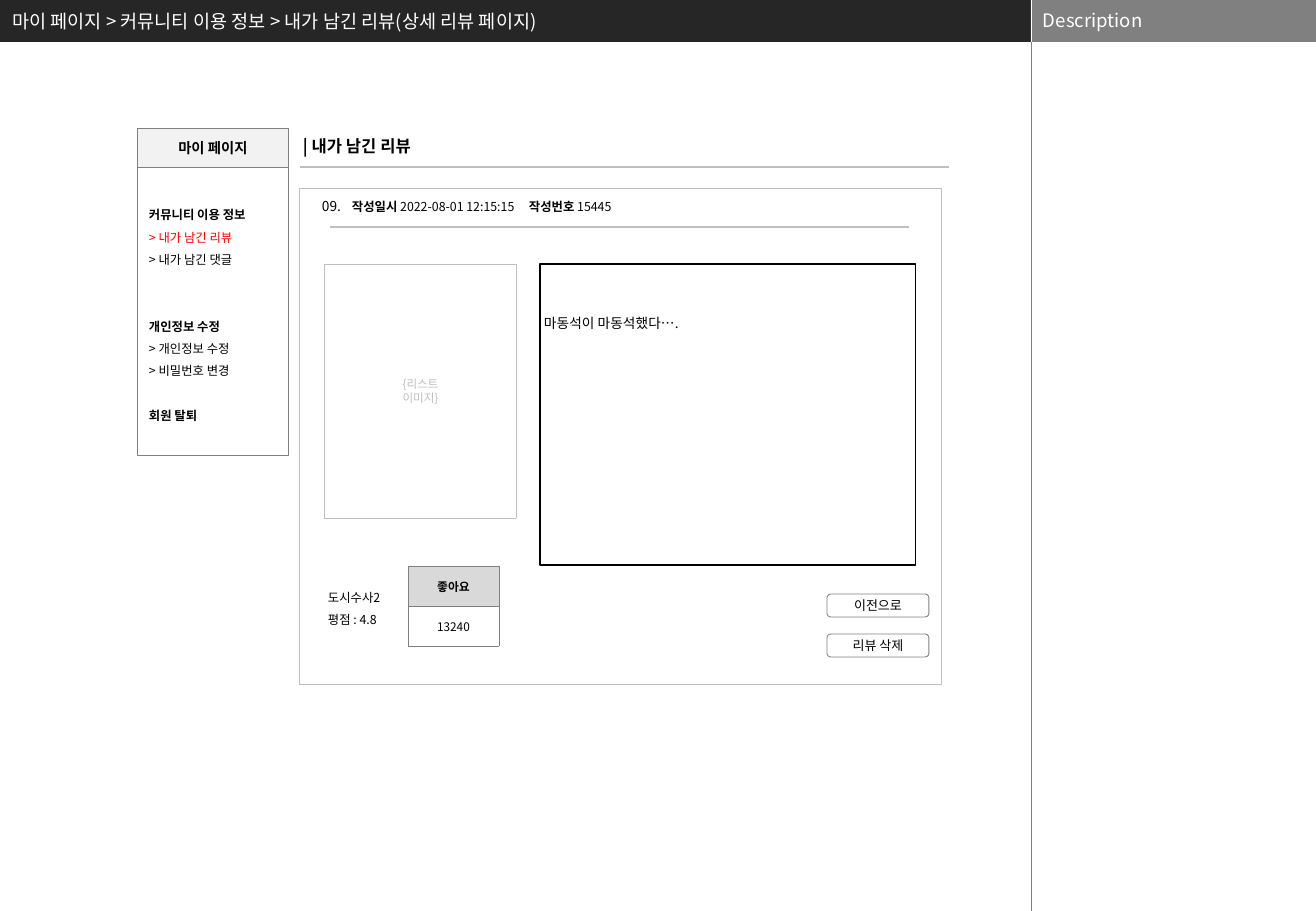
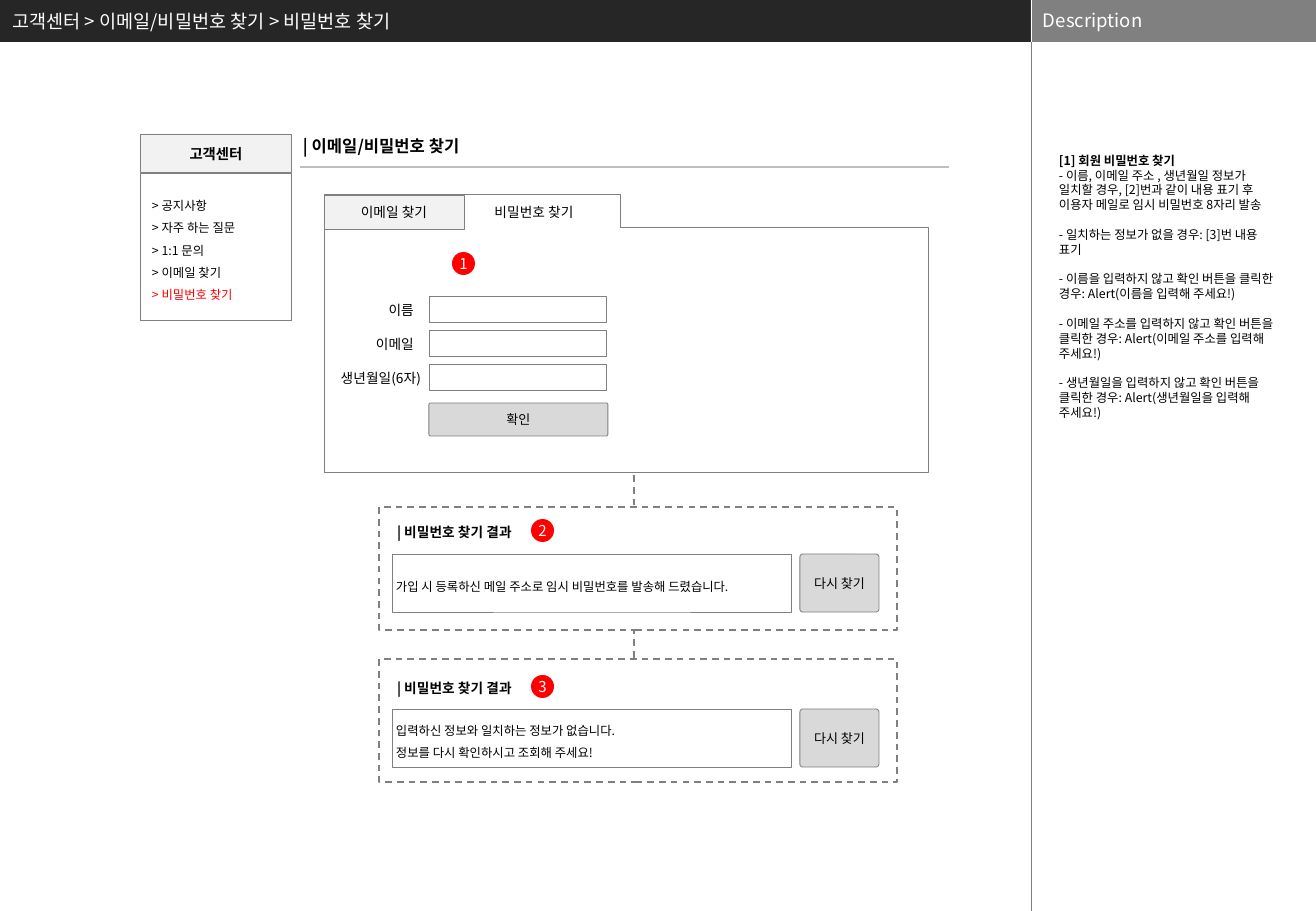
from dataclasses import dataclass

from lxml import etree
from pptx import Presentation
from pptx.dml.color import RGBColor
from pptx.enum.dml import MSO_LINE
from pptx.enum.shapes import MSO_CONNECTOR, MSO_SHAPE as SHAPE
from pptx.enum.text import MSO_ANCHOR as ANCHOR, MSO_AUTO_SIZE, PP_ALIGN as ALIGN
from pptx.oxml.ns import qn
from pptx.util import Pt

PX = 7526  # EMU per px
SLIDE_W, SLIDE_H = 1316, 911
MAIN_W, BAND_H = 1031, 42
FONT = "Noto Sans CJK KR"
COLORS = {
    "ink": "000000", "white": "FFFFFF", "band": "262626", "gray": "808080",
    "light": "BFBFBF", "button": "D9D9D9", "tab": "F2F2F2", "red": "FF0000",
}
SMALL, BUTTON, BODY, HEAD = 7.3, 7.7, 8.1, 9.8
MENU_GAP, NOTE_GAP = 13.2, 8.8  # height of one skipped line, in points
PADDING = (12, 6, 12, 6)


@dataclass
class Line:
    text: str
    bold: bool = False
    color: str = "ink"
    before: float = 0


def px(*lengths):
    return [round(length * PX) for length in lengths]


def rgb(name):
    return RGBColor.from_string(COLORS[name])


# Text
def add_run(paragraph, text, size, bold=False, color="ink"):
    run = paragraph.add_run()
    run.text = text
    for key, value in {"name": FONT, "size": Pt(size), "bold": bold}.items():
        setattr(run.font, key, value)
    run.font.color.rgb = rgb(color)
    etree.SubElement(run.font._element, qn("a:ea")).set("typeface", FONT)


def set_frame(frame, anchor, insets):
    left, top, right, bottom = px(*insets)
    settings = {
        "word_wrap": True, "auto_size": MSO_AUTO_SIZE.NONE, "vertical_anchor": anchor,
        "margin_left": left, "margin_top": top, "margin_right": right, "margin_bottom": bottom,
    }
    for key, value in settings.items():
        setattr(frame, key, value)


def write(frame, lines, size, align=ALIGN.LEFT, spacing=1.0):
    for i, line in enumerate(lines):
        paragraph = frame.add_paragraph() if i else frame.paragraphs[0]
        paragraph.alignment = align
        paragraph.line_spacing = spacing
        paragraph.space_before = Pt(line.before)
        add_run(paragraph, line.text, size, line.bold, line.color)


def add_text(slide, box, lines, size, align=ALIGN.LEFT, anchor=ANCHOR.TOP,
             insets=PADDING, spacing=1.0):
    label = slide.shapes.add_textbox(*px(*box))
    set_frame(label.text_frame, anchor, insets)
    write(label.text_frame, lines, size, align, spacing)


# Shapes
def paint_shape(shape, fill=None, line="gray", weight=0.5, dash=None):
    shape.shadow.inherit = False
    if fill:
        shape.fill.solid()
        shape.fill.fore_color.rgb = rgb(fill)
    else:
        shape.fill.background()
    if line:
        shape.line.color.rgb = rgb(line)
        shape.line.width = Pt(weight)
        shape.line.dash_style = dash
    else:
        shape.line.fill.background()


def add_box(slide, box, fill=None, kind=SHAPE.RECTANGLE, adjust=(), **look):
    shape = slide.shapes.add_shape(kind, *px(*box))
    for i, value in enumerate(adjust):
        shape.adjustments[i] = value
    paint_shape(shape, fill, **look)
    return shape


def add_text_box(slide, box, lines, size, align=ALIGN.CENTER, anchor=ANCHOR.MIDDLE,
                 insets=(0, 0, 0, 0), spacing=1.0, **look):
    shape = add_box(slide, box, **look)
    set_frame(shape.text_frame, anchor, insets)
    write(shape.text_frame, lines, size, align, spacing)


def add_button(slide, box, text, fill=None, adjust=()):
    add_text_box(slide, box, [Line(text)], BUTTON, insets=(5, 5, 5, 5),
                 fill=fill, kind=SHAPE.ROUNDED_RECTANGLE, adjust=adjust)


def add_badge(slide, x, y, number):
    add_text_box(slide, (x, y, 23, 23), [Line(number, color="white")], 8.9,
                 fill="red", line=None, kind=SHAPE.OVAL)


def add_line(slide, start, end, color, weight, dash=None):
    rule = slide.shapes.add_connector(MSO_CONNECTOR.STRAIGHT, *px(*start, *end))
    rule.line.color.rgb = rgb(color)
    rule.line.width = Pt(weight)
    rule.line.dash_style = dash
    etree.SubElement(rule._element.spPr, qn("a:effectLst"))


def add_column(slide, box, cells, border):
    """One-column table; cells are (Line or None, fill or None)."""
    table = slide.shapes.add_table(len(cells), 1, *px(*box)).table
    table.first_row = table.horz_banding = False
    for i, (line, fill) in enumerate(cells):
        cell = table.cell(i, 0)
        cell.vertical_anchor = ANCHOR.MIDDLE
        cell.margin_left = cell.margin_right = cell.margin_top = cell.margin_bottom = 0
        if fill:
            cell.fill.solid()
            cell.fill.fore_color.rgb = rgb(fill)
        else:
            cell.fill.background()
        if line:
            write(cell.text_frame, [line], 7, ALIGN.CENTER)
        properties = cell._tc.get_or_add_tcPr()
        for j, side in enumerate(("lnL", "lnR", "lnT", "lnB")):
            edge = etree.Element(qn(f"a:{side}"), w=str(int(Pt(0.5))))
            paint = etree.SubElement(edge, qn("a:solidFill"))
            etree.SubElement(paint, qn("a:srgbClr"), val=COLORS[border])
            properties.insert(j, edge)


# Parts shared by the slides
def start_slide(deck, breadcrumb, heading):
    slide = deck.slides.add_slide(deck.slide_layouts[5])
    side_w = SLIDE_W - MAIN_W
    add_box(slide, (0, 0, MAIN_W, BAND_H), "band", line=None)
    add_box(slide, (MAIN_W, 0, side_w, BAND_H), "gray", line=None)
    add_line(slide, (MAIN_W, 0), (MAIN_W, BAND_H), "white", 0.25)
    add_line(slide, (MAIN_W, BAND_H), (MAIN_W, SLIDE_H), "gray", 0.25)
    add_text(slide, (MAIN_W, 0, side_w, 41), [Line("Description", color="white")], 11,
             anchor=ANCHOR.MIDDLE)

    title = slide.shapes.title
    title.left, title.top, title.width, title.height = px(0, 0, 1002, BAND_H)
    set_frame(title.text_frame, ANCHOR.MIDDLE, PADDING)
    write(title.text_frame, [Line(breadcrumb, color="white")], 11)
    title.element.getparent().append(title.element)  # above the band

    add_text(slide, (291, 130, 272, 33), [Line(f"| {heading}", bold=True)], HEAD)
    add_line(slide, (300, 167), (949, 167), "light", 0.75)
    return slide


def add_sidebar(slide, x, y, body_h, name, menu):
    width, head_h = 152, 39
    add_text_box(slide, (x, y + head_h, width, body_h), menu, SMALL, ALIGN.LEFT,
                 insets=PADDING, spacing=1.5)
    add_text_box(slide, (x, y, width, head_h), [Line(name, bold=True)], 8.5,
                 insets=PADDING, fill="tab")


# Review detail
def add_review(slide, x, y, width, height):
    add_box(slide, (x, y, width, height), line="light")

    # Number, date and id, set on tab stops
    header = slide.shapes.add_textbox(*px(x + 11, y + 4, 389, 29)).text_frame
    set_frame(header, ANCHOR.TOP, PADDING)
    paragraph = header.paragraphs[0]
    stops = etree.SubElement(paragraph._p.get_or_add_pPr(), qn("a:tabLst"))
    for stop in px(30, 207):
        etree.SubElement(stops, qn("a:tab"), pos=str(stop), algn="l")
    add_run(paragraph, "09.", BODY)
    for text, bold in (("\t작성일시", True), (" 2022-08-01 12:15:15", False),
                       ("\t작성번호", True), (" 15445", False)):
        add_run(paragraph, text, SMALL, bold)
    add_line(slide, (x + 31, y + 39), (x + 610, y + 39), "light", 0.75)

    # Picture slot and review text
    add_column(slide, (x + 25, y + 76, 192, 254), [(None, None)], "light")
    add_text_box(slide, (x + 102, y + 189, 39, 28),
                 [Line("{리스트", color="light"), Line("이미지}", color="light")], 6.9,
                 fill="white", line=None)
    add_text_box(slide, (x + 241, y + 76, 376, 301), [Line("마동석이 마동석했다….")], BODY,
                 ALIGN.LEFT, ANCHOR.TOP, (4, 51, 4, 4), fill="white", line="ink", weight=0.75)

    # Film, likes and buttons
    add_text(slide, (x + 17, y + 389, 86, 55), [Line("도시수사2"), Line("평점 : 4.8")], SMALL,
             spacing=1.5)
    add_column(slide, (x + 109, y + 378, 91, 80),
               [(Line("좋아요", bold=True), "button"), (Line("13240"), None)], "gray")
    for i, text in enumerate(("이전으로", "리뷰 삭제")):
        add_button(slide, (x + 528, y + 406 + 40 * i, 102, 23), text)


# Password search
def add_search_panel(slide, x, y, width, height):
    tab_w, tab_h = 140, 34
    right, bottom, shoulder = x + width, y + height, y + tab_h
    outline = slide.shapes.build_freeform(x, y, scale=PX)
    outline.add_line_segments([(x + 296, y), (x + 296, shoulder), (right, shoulder),
                               (right, bottom), (x, bottom)])
    paint_shape(outline.convert_to_shape(), "white")
    add_text_box(slide, (x, y + 1, tab_w, tab_h), [Line("이메일 찾기")], BODY, fill="tab")
    add_text(slide, (x + tab_w, y + 1, tab_w, tab_h), [Line("비밀번호 찾기")], BODY,
             ALIGN.CENTER, ANCHOR.MIDDLE)
    add_badge(slide, x + 128, y + 58, "1")
    for i, (name, label_w) in enumerate((("이름", 102), ("이메일", 102), ("생년월일(6자)", 109))):
        field_y = y + 102 + 34 * i
        add_text(slide, (x, field_y, label_w, 29), [Line(name)], BODY, ALIGN.RIGHT)
        add_box(slide, (x + 106, field_y, 177, 27))
    add_button(slide, (x + 105, y + 209, 179, 33), "확인", "button", (0.05,))


def add_result(slide, x, y, number, message, head_y, body_y):
    add_box(slide, (x, y, 518, 123), "white", weight=1, dash=MSO_LINE.DASH)
    add_text(slide, (x + 6, y + head_y, 154, 29), [Line("| 비밀번호 찾기 결과", bold=True)], BODY)
    add_badge(slide, x + 152, y + head_y + 1, number)
    add_text_box(slide, (x + 13, y + body_y, 400, 58), message, SMALL, ALIGN.LEFT,
                 insets=(4, 4, 4, 4), spacing=1.5, fill="white")
    add_button(slide, (x + 421, y + body_y, 79, 58), "다시 찾기", "button", (0.05,))


def build_review_slide(deck):
    slide = start_slide(deck, "마이 페이지 > 커뮤니티 이용 정보 > 내가 남긴 리뷰(상세 리뷰 페이지)",
                        "내가 남긴 리뷰")
    add_sidebar(slide, 137, 128, 289, "마이 페이지", [
        Line("커뮤니티 이용 정보", bold=True),
        Line("> 내가 남긴 리뷰", color="red"),
        Line("> 내가 남긴 댓글"),
        Line("개인정보 수정", bold=True, before=2 * MENU_GAP),
        Line("> 개인정보 수정"),
        Line("> 비밀번호 변경"),
        Line("회원 탈퇴", bold=True, before=MENU_GAP),
    ])
    add_review(slide, 299, 188, 642, 496)


def build_password_slide(deck):
    slide = start_slide(deck, "고객센터 > 이메일/비밀번호 찾기 > 비밀번호 찾기",
                        "이메일/비밀번호 찾기")
    add_sidebar(slide, 140, 134, 147, "고객센터", [
        Line("> 공지사항"), Line("> 자주 하는 질문"), Line("> 1:1 문의"),
        Line("> 이메일 찾기"), Line("> 비밀번호 찾기", color="red"),
    ])
    # Flow line runs behind the panel and both results
    add_line(slide, (634, 693), (634, 456), "gray", 1, MSO_LINE.DASH)
    add_search_panel(slide, 324, 194, 604, 278)
    add_result(slide, 379, 507, "2",
               [Line("가입 시 등록하신 메일 주소로 임시 비밀번호를 발송해 드렸습니다.")], 11, 47)
    add_result(slide, 379, 659, "3", [Line("입력하신 정보와 일치하는 정보가 없습니다."),
                                      Line("정보를 다시 확인하시고 조회해 주세요!")], 15, 50)
    # Description notes
    cases = [
        "- 일치하는 정보가 없을 경우: [3]번 내용 표기",
        "- 이름을 입력하지 않고 확인 버튼을 클릭한 경우: Alert(이름을 입력해 주세요!)",
        "- 이메일 주소를 입력하지 않고 확인 버튼을 클릭한 경우: Alert(이메일 주소를 입력해 주세요!)",
        "- 생년월일을 입력하지 않고 확인 버튼을 클릭한 경우: Alert(생년월일을 입력해 주세요!)",
    ]
    add_text(slide, (1055, 153, 231, 691), [
        Line("[1] 회원 비밀번호 찾기", bold=True),
        Line("- 이름, 이메일 주소 , 생년월일 정보가 일치할 경우, [2]번과 같이 내용 표기 후 "
             "이용자 메일로 임시 비밀번호 8자리 발송"),
        *(Line(case, before=NOTE_GAP) for case in cases),
    ], SMALL, insets=(4, 0, 4, 0))


def main():
    deck = Presentation()
    deck.slide_width, deck.slide_height = px(SLIDE_W, SLIDE_H)
    build_review_slide(deck)
    build_password_slide(deck)
    deck.save("out.pptx")


if __name__ == "__main__":
    main()
